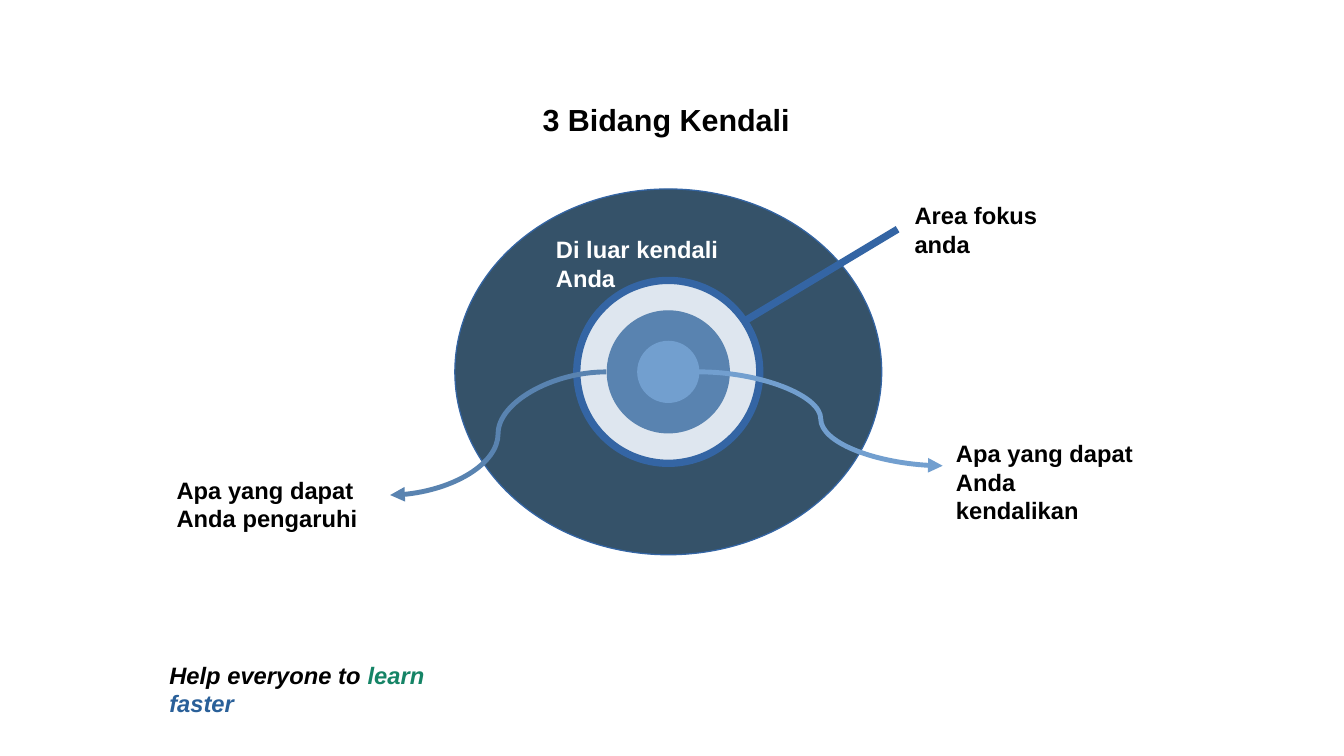
from lxml.etree import SubElement
from pptx import Presentation
from pptx.dml.color import RGBColor
from pptx.enum.shapes import MSO_CONNECTOR, MSO_SHAPE
from pptx.oxml.ns import qn
from pptx.util import Inches, Pt

COLORS = {
    "black": "000000", "white": "FFFFFF", "navy": "355269", "focus": "3465A4",
    "pale": "DEE6EF", "mid": "5983B0", "light": "729FCF",
    "green": "158466", "blue": "2A6099",
}
CENTER_X, CENTER_Y = 5.48, 3.05

# width, height, fill, line colour, line width; outermost first
RINGS = [
    (3.5, 3, "navy", "focus", 0),
    (1.5, 1.5, "pale", "focus", 4.31),
    (1, 1, "mid", "mid", 0),
    (0.5, 0.5, "light", "light", 0),
]
# kind, start, end, colour, width, arrowhead
LINKS = [
    (MSO_CONNECTOR.CURVE, (5.73, CENTER_Y), (7.73, 3.82), "light", 2.89, True),
    (MSO_CONNECTOR.CURVE, (4.97, CENTER_Y), (3.2, 4.06), "mid", 2.89, True),
    (MSO_CONNECTOR.STRAIGHT, (6.11, 2.63), (7.36, 1.88), "focus", 4.31, False),
]
# box, font format, paragraphs of (text, colour) runs
BOLD = {"name": "Arial", "size": Pt(14), "bold": True}
TEXTS = [
    ((4.35, 0.78, 2.29, 0.38), {**BOLD, "size": Pt(18)}, [[("3 Bidang Kendali", "black")]]),
    ((7.74, 3.55, 1.74, 0.53), BOLD,
     [[("Apa yang dapat", "black")], [("Anda kendalikan", "black")]]),
    ((1.35, 3.85, 1.7, 0.53), BOLD,
     [[("Apa yang dapat", "black")], [("Anda pengaruhi", "black")]]),
    ((4.46, 1.88, 2.06, 0.31), BOLD, [[("Di luar kendali Anda", "white")]]),
    ((7.4, 1.6, 1.71, 0.31), BOLD, [[("Area fokus anda", "black")]]),
    ((1.29, 5.37, 2.87, 0.32), {**BOLD, "italic": True},
     [[("Help everyone to ", "black"), ("learn ", "green"), ("faster", "blue")]]),
]


def rgb(name):
    return RGBColor.from_string(COLORS[name])


def style_line(line, color, width):
    line.color.rgb = rgb(color)
    line.width = Pt(width)


def add_ring(slide, width, height, fill, color, line_width):
    box = (CENTER_X - width / 2, CENTER_Y - height / 2, width, height)
    sp = slide.shapes.add_shape(MSO_SHAPE.OVAL, *map(Inches, box))
    sp.shadow.inherit = False
    sp.fill.solid()
    sp.fill.fore_color.rgb = rgb(fill)
    style_line(sp.line, color, line_width)


def add_link(slide, kind, start, end, color, width, arrow):
    cxn = slide.shapes.add_connector(kind, *map(Inches, start + end))
    style_line(cxn.line, color, width)
    sp_pr = cxn._element.spPr
    if arrow:
        SubElement(sp_pr.find(qn("a:ln")), qn("a:tailEnd"), type="triangle")
    SubElement(sp_pr, qn("a:effectLst"))


def add_text(slide, box, font, paragraphs):
    tf = slide.shapes.add_textbox(*map(Inches, box)).text_frame
    tf.word_wrap = True
    for i, runs in enumerate(paragraphs):
        p = tf.add_paragraph() if i else tf.paragraphs[0]
        for text, color in runs:
            r = p.add_run()
            r.text = text
            for key, value in font.items():
                setattr(r.font, key, value)
            r.font.color.rgb = rgb(color)


def main():
    prs = Presentation()
    prs.slide_width, prs.slide_height = Inches(11.02), Inches(6.2)
    slide = prs.slides.add_slide(prs.slide_layouts[6])
    for add, items in ((add_ring, RINGS), (add_link, LINKS), (add_text, TEXTS)):
        for item in items:
            add(slide, *item)
    prs.save("out.pptx")


if __name__ == "__main__":
    main()
